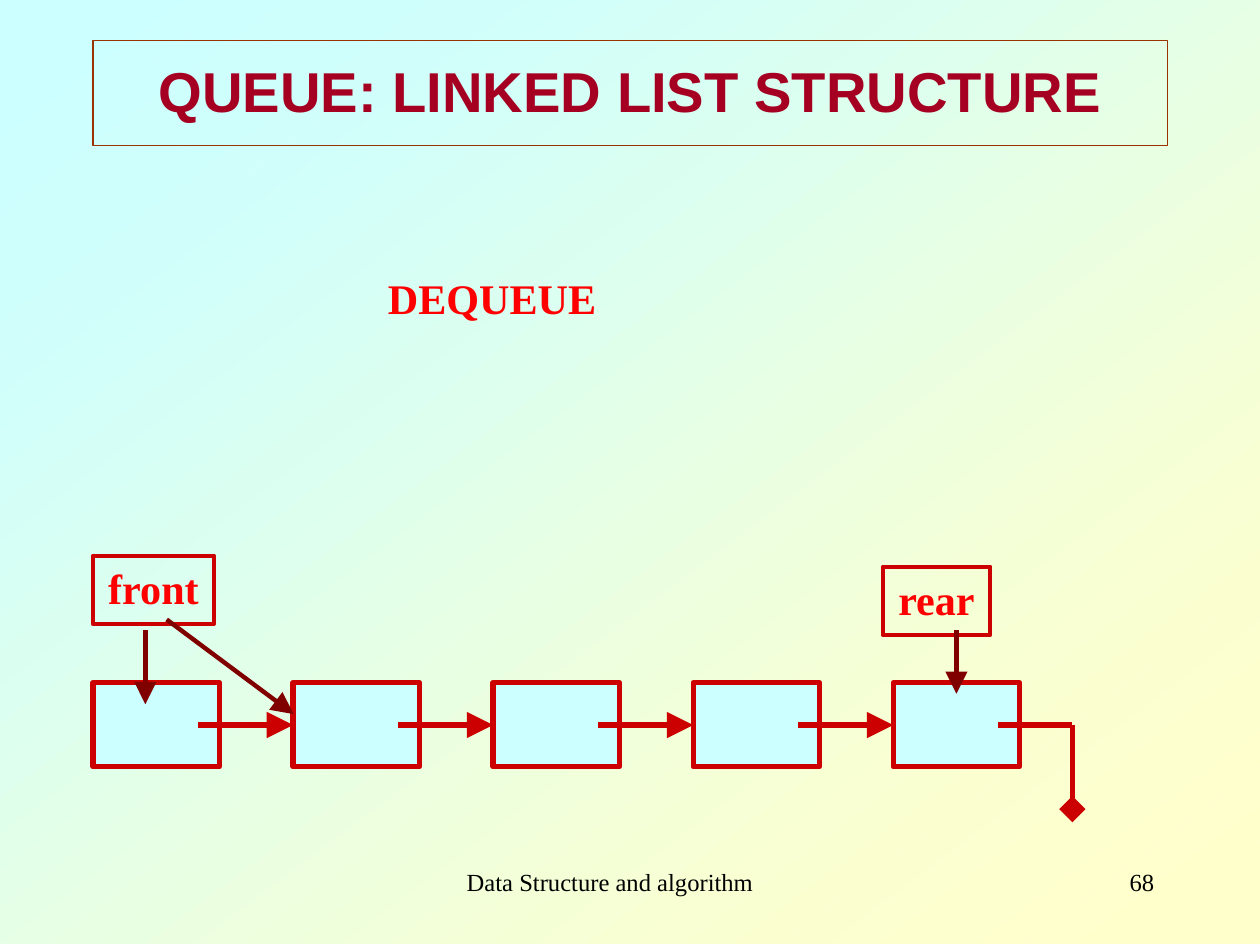
from dataclasses import dataclass
from itertools import pairwise
from math import cos, pi

from lxml.etree import SubElement
from pptx import Presentation
from pptx.dml.color import RGBColor
from pptx.enum.shapes import MSO_CONNECTOR, MSO_SHAPE
from pptx.enum.text import MSO_ANCHOR, PP_ALIGN
from pptx.oxml.ns import qn
from pptx.util import Cm, Pt


@dataclass(frozen=True)
class TextStyle:
    name: str
    size: float
    color: str
    bold: bool = True
    align: PP_ALIGN = PP_ALIGN.CENTER


@dataclass(frozen=True)
class Theme:
    title = TextStyle("Arial", 32, "A50021")
    label = TextStyle("Times New Roman", 24, "FF0000")
    footer = TextStyle("Times New Roman", 14, "000000", False, PP_ALIGN.LEFT)
    title_border = ("9A3300", 0.72)
    label_border = ("CC0000", 2.52)
    node_border = ("CC0000", 3)
    pointer_line = ("800000", 2.52)
    node_fill = "CCFFFF"
    band_low, band_high = 204, 255


THEME = Theme()
PAGE_WIDTH, PAGE_HEIGHT = 25.32, 18.97
BAND_COUNT = 48
CORNER_BAND = 0.11
NODE_COUNT = 5
NODE_LEFT, NODE_TOP = 1.87, 13.72
NODE_WIDTH, NODE_HEIGHT = 2.54, 1.69
NODE_PITCH = 4.02
LINK_INSET, LINK_Y = 2.11, 14.57
BOX_TEXT_LIFT = 0.1


def band_edge(distance):
    """Return both ends of the slanted line at a distance of 0 to 2 across the page."""
    if distance <= 1:
        return (distance * PAGE_WIDTH, 0), (0, distance * PAGE_HEIGHT)
    rest = distance - 1
    return (PAGE_WIDTH, rest * PAGE_HEIGHT), (rest * PAGE_WIDTH, PAGE_HEIGHT)


def band_color(index):
    """Ease from cyan to yellow along a cosine."""
    share = (1 - cos(pi * (index + 1.5) / (BAND_COUNT + 2))) / 2
    change = round((THEME.band_high - THEME.band_low) * share)
    return RGBColor(THEME.band_low + change, THEME.band_high, THEME.band_high - change)


def add_backdrop(page):
    """Cover the page with slanted colour bands; the corner bands are wider."""
    half = BAND_COUNT // 2
    step = (1 - CORNER_BAND) / (half - 1)
    inner = [1 + (index - half) * step for index in range(1, BAND_COUNT)]
    for index, (near, far) in enumerate(pairwise([0, *inner, 2])):
        near_top, near_bottom = band_edge(near)
        far_top, far_bottom = band_edge(far)
        outline = [(Cm(x), Cm(y)) for x, y in (near_top, far_top, far_bottom, near_bottom)]
        builder = page.shapes.build_freeform(*outline[0])
        builder.add_line_segments(outline[1:], close=True)
        band = builder.convert_to_shape()
        band.shadow.inherit = False
        band.fill.solid()
        band.fill.fore_color.rgb = band_color(index)
        band.line.fill.background()


def style_line(line, border):
    color, width = border
    line.color.rgb = RGBColor.from_string(color)
    line.width = Pt(width)


def write_text(box, text, style, lift=0):
    frame = box.text_frame
    frame_format = {
        "margin_left": 0, "margin_right": 0, "margin_top": 0, "margin_bottom": Cm(lift),
        "word_wrap": True, "vertical_anchor": MSO_ANCHOR.MIDDLE,
    }
    for key, value in frame_format.items():
        setattr(frame, key, value)
    para = frame.paragraphs[0]
    para.alignment = style.align
    span = para.add_run()
    span.text = text
    font_format = {"name": style.name, "size": Pt(style.size), "bold": style.bold}
    for key, value in font_format.items():
        setattr(span.font, key, value)
    span.font.color.rgb = RGBColor.from_string(style.color)


def add_text(page, place, text, style):
    write_text(page.shapes.add_textbox(*map(Cm, place)), text, style)


def add_box(page, place, border, fill=None):
    box = page.shapes.add_shape(MSO_SHAPE.RECTANGLE, *map(Cm, place))
    box.shadow.inherit = False
    if fill:
        box.fill.solid()
        box.fill.fore_color.rgb = RGBColor.from_string(fill)
    else:
        box.fill.background()
    style_line(box.line, border)
    return box


def add_line(page, start, end, border, tip=None):
    """Draw a straight line, with an arrowhead of type tip at its end."""
    line = page.shapes.add_connector(MSO_CONNECTOR.STRAIGHT, *map(Cm, start + end))
    style_line(line.line, border)
    properties = line.element.spPr
    if tip:
        outline = properties.find(qn("a:ln"))
        SubElement(outline, qn("a:tailEnd"), type=tip, w="lg", len="lg")
    SubElement(properties, qn("a:effectLst"))


def add_linked_list(page):
    lefts = [NODE_LEFT + index * NODE_PITCH for index in range(NODE_COUNT)]
    for left in lefts:
        place = (left, NODE_TOP, NODE_WIDTH, NODE_HEIGHT)
        add_box(page, place, THEME.node_border, THEME.node_fill)
    for left, next_left in pairwise(lefts):
        add_line(page, (left + LINK_INSET, LINK_Y), (next_left, LINK_Y),
                 THEME.node_border, "triangle")
    corner = (21.55, LINK_Y)
    add_line(page, (lefts[-1] + LINK_INSET, LINK_Y), corner, THEME.node_border)
    add_line(page, corner, (21.55, 16.26), THEME.node_border, "diamond")


def add_pointers(page):
    labels = [
        ("front", (1.87, 11.17, 2.43, 1.37)),
        ("rear", (17.74, 11.39, 2.16, 1.37)),
    ]
    for text, place in labels:
        box = add_box(page, place, THEME.label_border)
        write_text(box, text, THEME.label, BOX_TEXT_LIFT)
    arrows = [
        ((2.92, 12.67), (2.92, 14.15)),
        ((19.22, 12.67), (19.22, 13.94)),
        ((3.35, 12.45), (5.9, 14.35)),
    ]
    for start, end in arrows:
        add_line(page, start, end, THEME.pointer_line, "triangle")


def main():
    deck = Presentation()
    deck.slide_width, deck.slide_height = Cm(PAGE_WIDTH), Cm(PAGE_HEIGHT)
    page = deck.slides.add_slide(deck.slide_layouts[6])
    add_backdrop(page)
    title = add_box(page, (1.87, 0.81, 21.59, 2.11), THEME.title_border)
    write_text(title, "QUEUE: LINKED LIST STRUCTURE", THEME.title, BOX_TEXT_LIFT)
    add_text(page, (7.74, 5.44, 4.3, 1.1), "DEQUEUE", THEME.label)
    add_linked_list(page)
    add_pointers(page)
    add_text(page, (9.38, 17.41, 6.6, 0.6), "Data Structure and algorithm", THEME.footer)
    add_text(page, (22.7, 17.41, 0.71, 0.6), "68", THEME.footer)
    deck.save("out.pptx")


if __name__ == "__main__":
    main()
